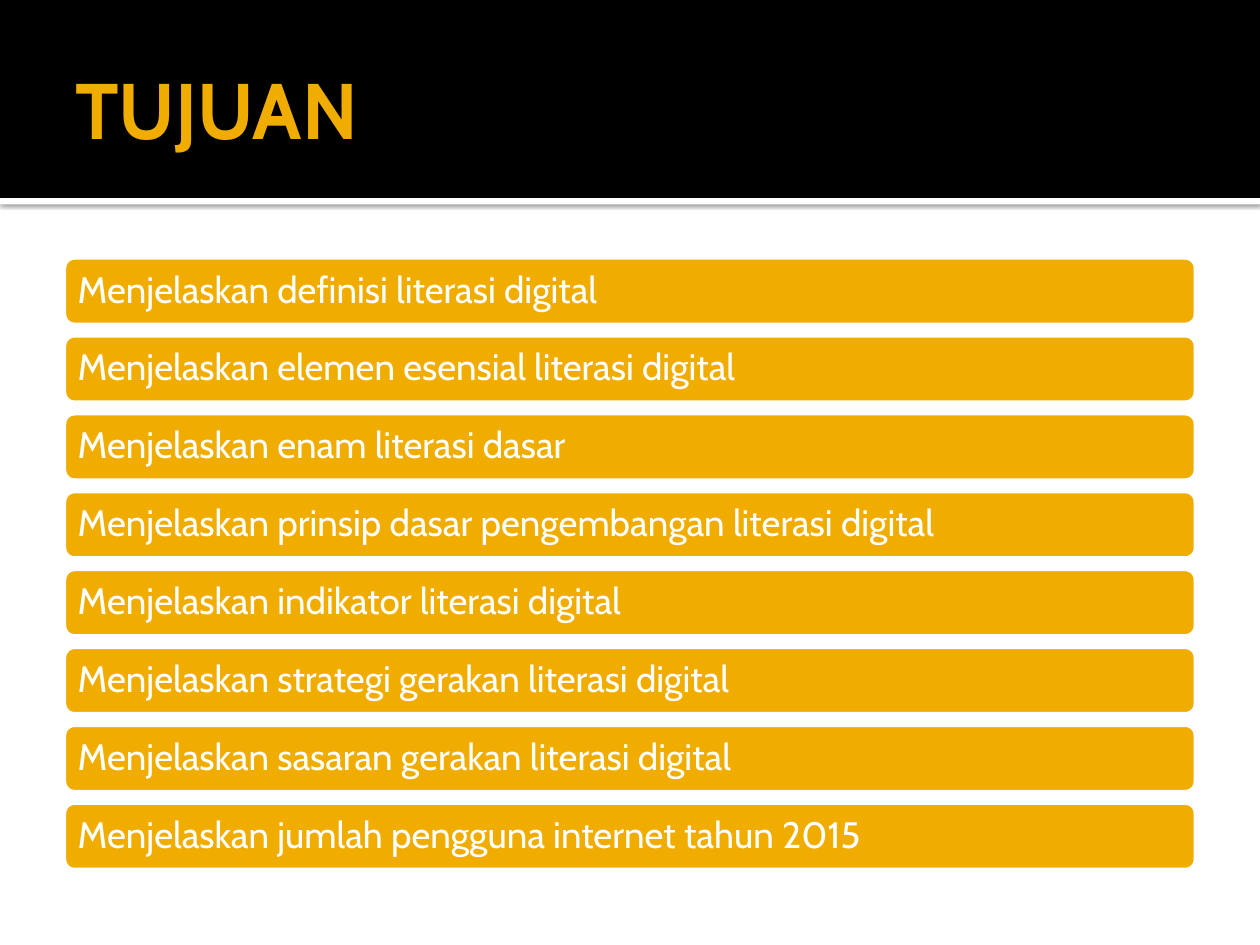
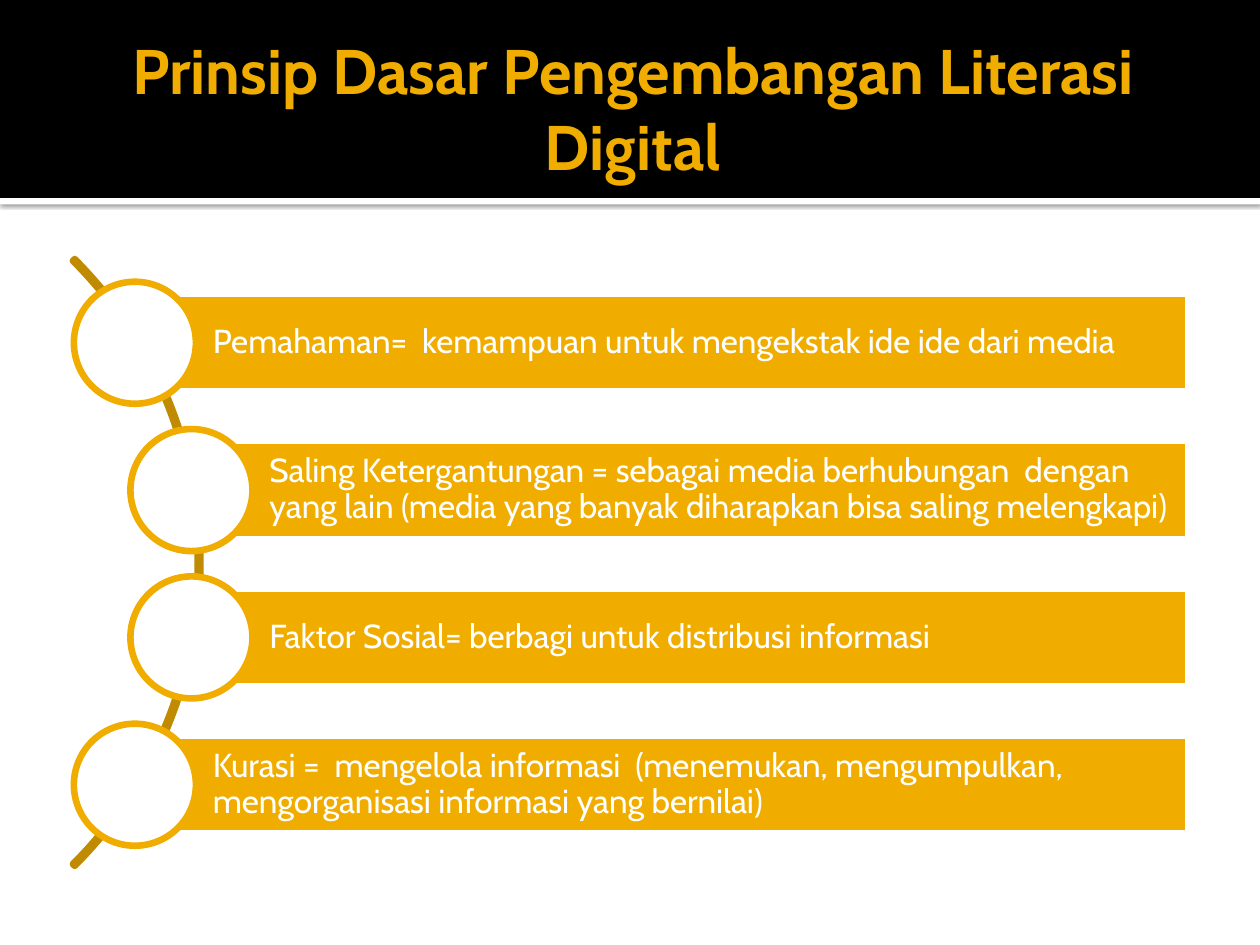
from lxml import etree
from pptx import Presentation
from pptx.dml.color import RGBColor
from pptx.enum.shapes import MSO_SHAPE
from pptx.enum.text import MSO_ANCHOR, PP_ALIGN
from pptx.oxml.ns import qn
from pptx.util import Cm, Pt

RECT = MSO_SHAPE.RECTANGLE
ROUND_RECT = MSO_SHAPE.ROUNDED_RECTANGLE
OVAL = MSO_SHAPE.OVAL
BLOCK_ARC = MSO_SHAPE.BLOCK_ARC
MIDDLE = MSO_ANCHOR.MIDDLE
LEFT, CENTER = PP_ALIGN.LEFT, PP_ALIGN.CENTER

COLORS = {"black": "000000", "white": "FFFFFF", "gold": "F0AD00", "dark_gold": "C08B00"}
FONT = "Cabin"
SLIDE_W, SLIDE_H = 25.4, 19.05
BAND_H = 3.99
OUTLINE_PT = 3.78

GOALS = [
    "Menjelaskan definisi literasi digital",
    "Menjelaskan elemen esensial literasi digital",
    "Menjelaskan enam literasi dasar",
    "Menjelaskan prinsip dasar pengembangan literasi digital",
    "Menjelaskan indikator literasi digital",
    "Menjelaskan strategi gerakan literasi digital",
    "Menjelaskan sasaran gerakan literasi digital",
    "Menjelaskan jumlah pengguna internet tahun 2015",
]

# Text and left edge of each bar
PRINCIPLES = [
    ("Pemahaman=  kemampuan untuk mengekstak ide ide dari media", 2.72),
    ("Saling Ketergantungan = sebagai media berhubungan  dengan yang lain "
     "(media yang banyak diharapkan bisa saling melengkapi)", 3.86),
    ("Faktor Sosial= berbagi untuk distribusi informasi", 3.86),
    ("Kurasi =  mengelola informasi  (menemukan, mengumpulkan, "
     "mengorganisasi informasi yang bernilai)", 2.72),
]


def rgb(name):
    return RGBColor.from_string(COLORS[name])


def add_box(s, kind, x, y, w, h, fill=None, line=None):
    sp = s.shapes.add_shape(kind, Cm(x), Cm(y), Cm(w), Cm(h))
    sp.shadow.inherit = False
    if fill:
        sp.fill.solid()
        sp.fill.fore_color.rgb = rgb(fill)
    else:
        sp.fill.background()
    if line:
        sp.line.color.rgb = rgb(line)
        sp.line.width = Pt(OUTLINE_PT)
    else:
        sp.line.fill.background()
    return sp


def set_text(sp, text, size, color, insets, align=LEFT, bold=False, spacing=None):
    """Fill a shape with one paragraph; insets are left, top, right, bottom."""
    tf = sp.text_frame
    tf.word_wrap = True
    tf.vertical_anchor = MIDDLE
    tf.margin_left, tf.margin_top, tf.margin_right, tf.margin_bottom = map(Cm, insets)
    p = tf.paragraphs[0]
    p.text = text
    p.alignment = align
    p.line_spacing = spacing
    p.font.name = FONT
    p.font.size = Pt(size)
    p.font.bold = bold
    p.font.color.rgb = rgb(color)


def add_soft_shadow(sp):
    effects = sp._element.spPr.find(qn("a:effectLst"))
    shadow = etree.SubElement(effects, qn("a:outerShdw"), blurRad=str(Pt(2.5)),
                              dist=str(Pt(0.8)), dir="5400000", algn="tl", rotWithShape="0")
    color = etree.SubElement(shadow, qn("a:srgbClr"), val=COLORS["black"])
    etree.SubElement(color, qn("a:alpha"), val="60000")


def add_titled_slide(prs, title, size, align=LEFT):
    s = prs.slides.add_slide(prs.slide_layouts[6])
    # Header band with a shadowed strip below it
    strip = add_box(s, RECT, 0, BAND_H, SLIDE_W, 0.13, "white")
    add_soft_shadow(strip)
    add_box(s, RECT, 0, 0, SLIDE_W, BAND_H, "black")
    # Title
    tb = s.shapes.add_textbox(Cm(1.27), Cm(0.43), Cm(22.86), Cm(3.48))
    set_text(tb, title, size, "gold", (0.25, 0.13, 0.13, 0.13), align, bold=True)
    return s


def add_goal_bars(s, goals, top=5.17, pitch=1.57):
    for i, goal in enumerate(goals):
        bar = add_box(s, ROUND_RECT, 1.27, top + i * pitch, 22.86, 1.4, "gold", "white")
        set_text(bar, goal, 21, "white", (0.23,) * 4, spacing=0.9)


def add_arc(s, x, y, diameter):
    arc = add_box(s, BLOCK_ARC, x, y, diameter, diameter, line="dark_gold")
    # Start angle, end angle and thickness
    for i, value in enumerate((189, 27, 0.003)):
        arc.adjustments[i] = value


def add_principle(s, text, x, y, height=1.98, right=23.95, circle=2.46):
    bar = add_box(s, RECT, x, y, right - x, height, "gold", "white")
    set_text(bar, text, 19, "white", (1.57, 0.13, 0.13, 0.13), spacing=0.9)
    # The circle is centred on the left edge of the bar
    add_box(s, OVAL, x - circle / 2, y + (height - circle) / 2, circle, circle,
            "white", "gold")


def main():
    prs = Presentation()
    prs.slide_width, prs.slide_height = Cm(SLIDE_W), Cm(SLIDE_H)

    # Goals
    s = add_titled_slide(prs, "TUJUAN", 45)
    add_goal_bars(s, GOALS)

    # Principles along an arc
    s = add_titled_slide(prs, "Prinsip Dasar Pengembangan Literasi Digital", 36, CENTER)
    add_arc(s, -13.26, 2.69, 17.3)
    for i, (text, x) in enumerate(PRINCIPLES):
        add_principle(s, text, x, 5.92 + i * 2.97)

    prs.save("out.pptx")


if __name__ == "__main__":
    main()
